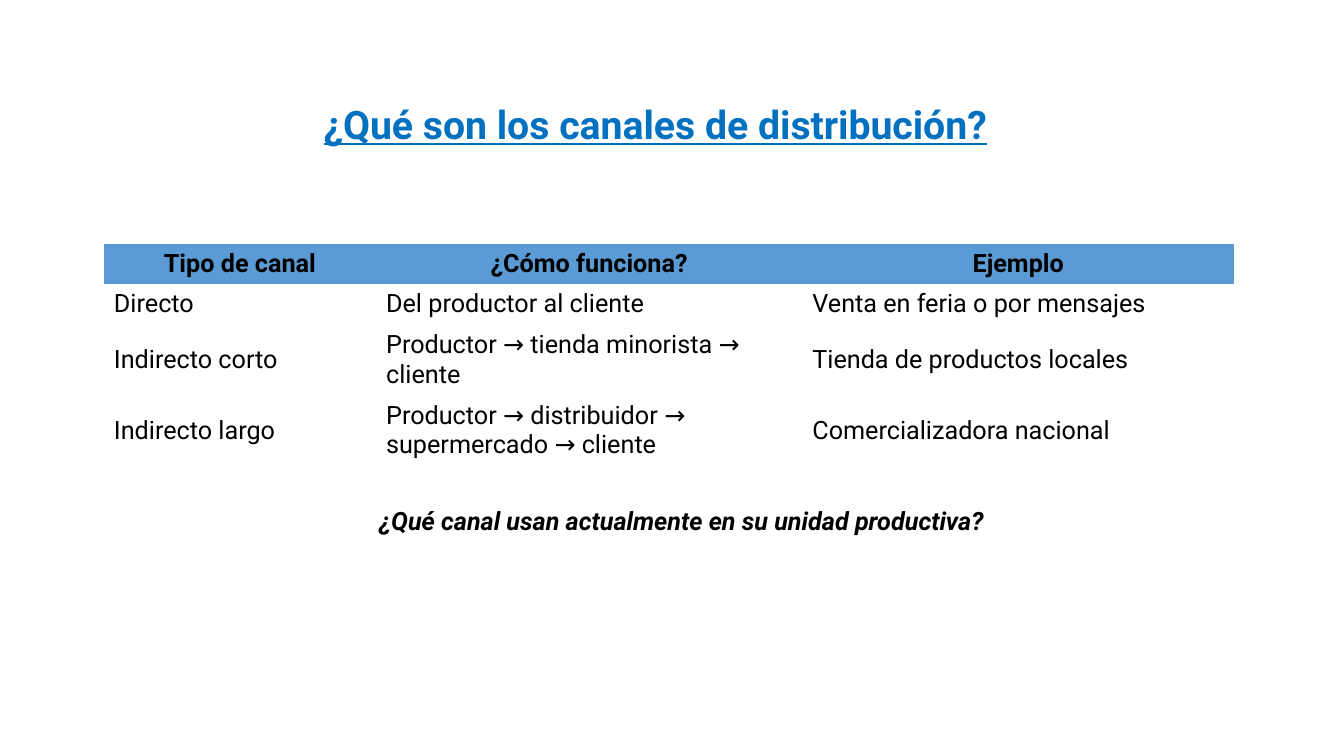
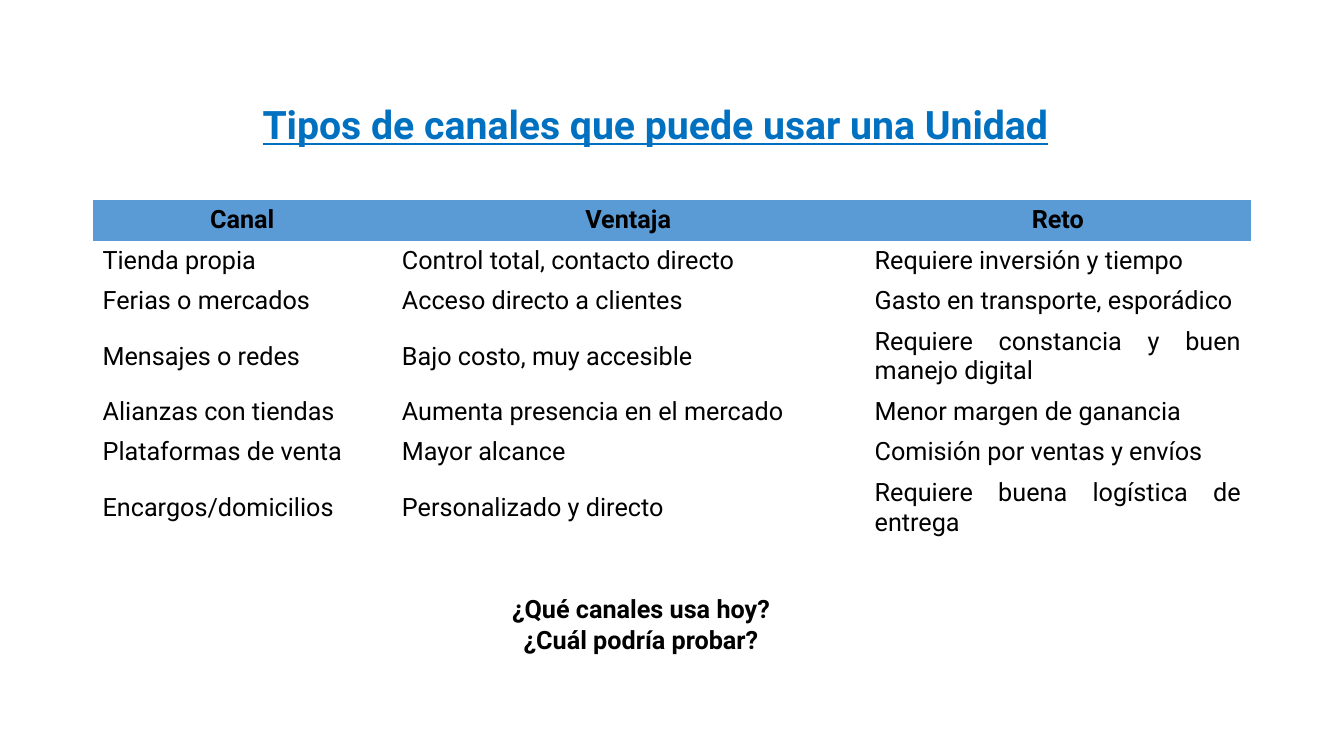
import dataclasses

import pptx
import pptx.dml.color
import pptx.enum.text
import pptx.presentation
import pptx.slide
import pptx.util

Pt = pptx.util.Pt
Align = pptx.enum.text.PP_ALIGN


@dataclasses.dataclass(frozen=True)
class Theme:
    font: str = "Roboto"
    title_size: float = 28
    text_size: float = 18
    title_color: str = "0070C0"
    text_color: str = "000000"
    header_fill: str = "5B9BD5"
    row_height: float = 28.8
    wrapped_row_height: float = 50.4
    plain_table_style: str = "{2D5ABB26-0587-4C30-8999-92F81FD0307C}"


@dataclasses.dataclass(frozen=True)
class Box:
    left: float
    top: float
    width: float
    height: float


@dataclasses.dataclass(frozen=True)
class ChannelTable:
    left: float
    top: float
    column_widths: tuple[float, ...]
    rows: tuple[tuple[str, ...], ...]  # the first row is the header
    wrapped_rows: tuple[int, ...]  # rows that need two lines
    body_align: Align


@dataclasses.dataclass(frozen=True)
class ChannelSlide:
    title: str
    table: ChannelTable
    questions: tuple[str, ...]
    question_box: Box
    question_italic: bool


THEME = Theme()
TITLE_BOX = Box(143.3, 68.4, 649.4, 41.2)

# Formats shared by both slides
BODY = {"name": THEME.font, "size": Pt(THEME.text_size), "bold": False}
HEADER = BODY | {"bold": True}
TITLE = HEADER | {"size": Pt(THEME.title_size), "underline": True}

SLIDES = (
    ChannelSlide(
        title="¿Qué son los canales de distribución?",
        table=ChannelTable(
            left=74.2,
            top=174.2,
            column_widths=(194.4, 304.5, 308.5),
            rows=(
                ("Tipo de canal", "¿Cómo funciona?", "Ejemplo"),
                ("Directo", "Del productor al cliente", "Venta en feria o por mensajes"),
                ("Indirecto corto", "Productor → tienda minorista → cliente",
                 "Tienda de productos locales"),
                ("Indirecto largo", "Productor → distribuidor → supermercado → cliente",
                 "Comercializadora nacional"),
            ),
            wrapped_rows=(2, 3),
            body_align=Align.LEFT,
        ),
        questions=("¿Qué canal usan actualmente en su unidad productiva?",),
        question_box=Box(239.8, 357.1, 493.9, 28.8),
        question_italic=True,
    ),
    ChannelSlide(
        title="Tipos de canales que puede usar una Unidad",
        table=ChannelTable(
            left=66.1,
            top=143,
            column_widths=(213.8, 337.7, 276),
            rows=(
                ("Canal", "Ventaja", "Reto"),
                ("Tienda propia", "Control total, contacto directo",
                 "Requiere inversión y tiempo"),
                ("Ferias o mercados", "Acceso directo a clientes",
                 "Gasto en transporte, esporádico"),
                ("Mensajes o redes", "Bajo costo, muy accesible",
                 "Requiere constancia y buen manejo digital"),
                ("Alianzas con tiendas", "Aumenta presencia en el mercado",
                 "Menor margen de ganancia"),
                ("Plataformas de venta", "Mayor alcance", "Comisión por ventas y envíos"),
                ("Encargos/domicilios", "Personalizado y directo",
                 "Requiere buena logística de entrega"),
            ),
            wrapped_rows=(3, 6),
            body_align=Align.JUSTIFY,
        ),
        questions=("¿Qué canales usa hoy?", "¿Cuál podría probar?"),
        question_box=Box(289.4, 420.5, 337, 51.1),
        question_italic=False,
    ),
)


def rgb(color: str) -> pptx.dml.color.RGBColor:
    return pptx.dml.color.RGBColor.from_string(color)


def write_lines(frame, lines: tuple[str, ...], look: dict, color: str, align: Align) -> None:
    """Fill a text frame with one formatted paragraph per line."""
    for index, line in enumerate(lines):
        paragraph = frame.add_paragraph() if index else frame.paragraphs[0]
        paragraph.alignment = align
        run = paragraph.add_run()
        run.text = line
        for attribute, value in look.items():
            setattr(run.font, attribute, value)
        run.font.color.rgb = rgb(color)


def add_text(slide: pptx.slide.Slide, box: Box, lines: tuple[str, ...],
             look: dict, color: str) -> None:
    """Add centred text in a box that grows with it."""
    frame = slide.shapes.add_textbox(
        Pt(box.left), Pt(box.top), Pt(box.width), Pt(box.height)).text_frame
    frame.word_wrap = True
    frame.auto_size = pptx.enum.text.MSO_AUTO_SIZE.SHAPE_TO_FIT_TEXT
    write_lines(frame, lines, look, color, Align.CENTER)


def add_channel_table(slide: pptx.slide.Slide, content: ChannelTable) -> None:
    heights = [THEME.wrapped_row_height if index in content.wrapped_rows else THEME.row_height
               for index in range(len(content.rows))]
    table = slide.shapes.add_table(
        len(heights), len(content.column_widths), Pt(content.left), Pt(content.top),
        Pt(sum(content.column_widths)), Pt(sum(heights))).table

    # Plain style without grid or bands
    table.first_row = table.horz_banding = False
    for style in table._tbl.tblPr:
        style.text = THEME.plain_table_style

    for column, width in zip(table.columns, content.column_widths):
        column.width = Pt(width)
    for index, (row, height, texts) in enumerate(zip(table.rows, heights, content.rows)):
        row.height = Pt(height)
        for cell, text in zip(row.cells, texts):
            cell.vertical_anchor = pptx.enum.text.MSO_ANCHOR.MIDDLE
            if index == 0:
                cell.fill.solid()
                cell.fill.fore_color.rgb = rgb(THEME.header_fill)
                look, align = HEADER, Align.CENTER
            else:
                cell.fill.background()
                look, align = BODY, content.body_align
            write_lines(cell.text_frame, (text,), look, THEME.text_color, align)


def add_channel_slide(deck: pptx.presentation.Presentation, content: ChannelSlide) -> None:
    slide = deck.slides.add_slide(deck.slide_layouts[6])
    add_text(slide, TITLE_BOX, (content.title,), TITLE, THEME.title_color)
    add_channel_table(slide, content.table)
    add_text(slide, content.question_box, content.questions,
             HEADER | {"italic": content.question_italic}, THEME.text_color)


def main() -> None:
    deck = pptx.Presentation()
    deck.slide_width, deck.slide_height = Pt(960), Pt(540)
    for content in SLIDES:
        add_channel_slide(deck, content)
    deck.save("out.pptx")


if __name__ == "__main__":
    main()
